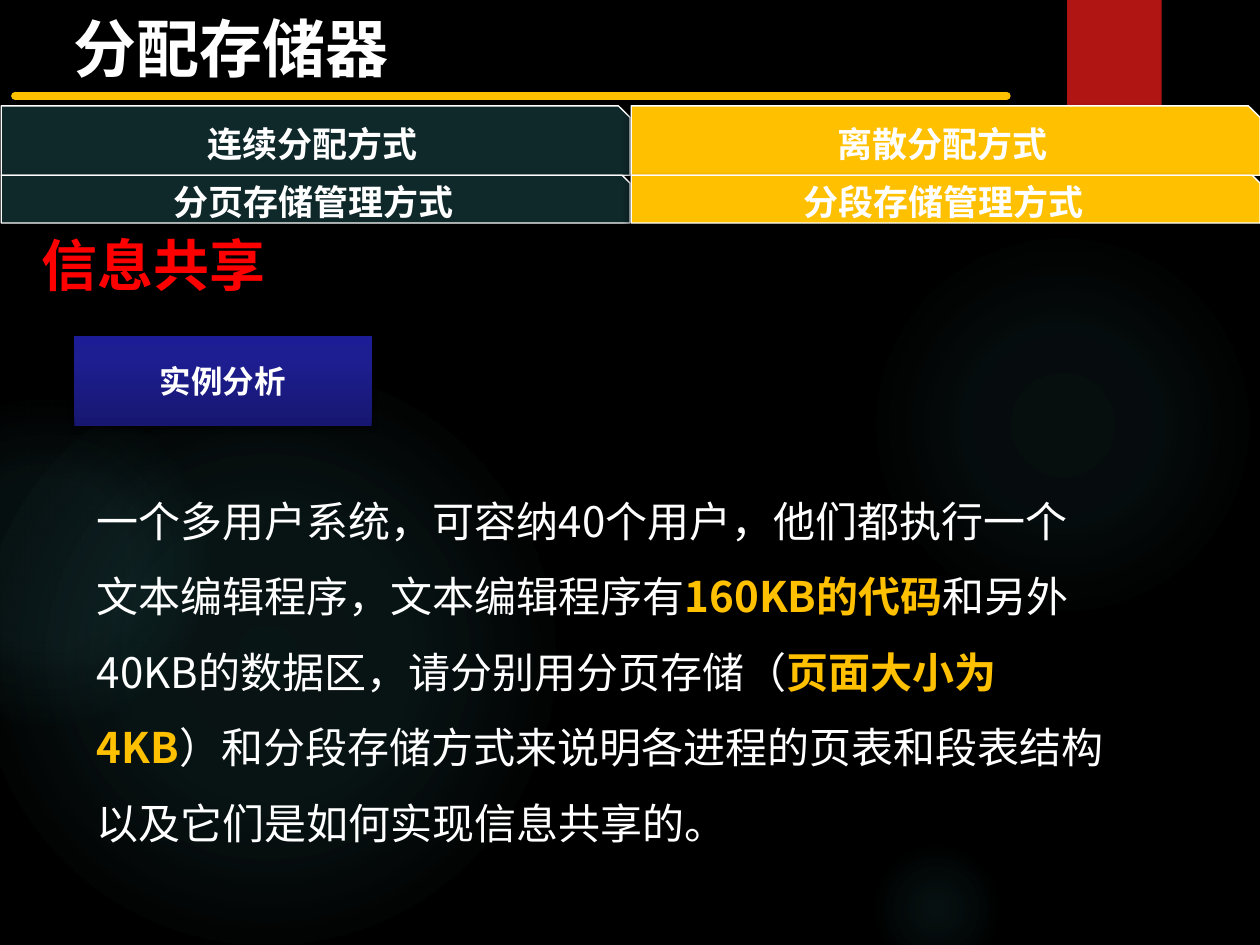
from pptx import Presentation
from pptx import util as u
from pptx.dml.color import RGBColor
from pptx.enum import shapes, text
from pptx.oxml import parse_xml
from pptx.oxml.ns import nsdecls, qn

COLORS = {
    "background": "000000", "white": "FFFFFF", "glow": "50B9C1",
    "ribbon": "B01513", "accent": "FFC000", "tab": "0F282A", "heading": "FF0000",
    "label_low": "171771", "label_mid": "1E1E93", "label_top": "1C1C96",
}
FONT = "Noto Sans CJK SC"
CELL = u.Inches(0.1)  # the slide is a grid of 100 columns by 75 rows
COLUMNS, ROWS = 100, 75


def cells(*counts):
    return [round(count * CELL) for count in counts]


def rgb(name):
    return RGBColor.from_string(COLORS[name])


def write(frame, runs, size, color="white", bold=False, align=None,
          anchor=text.MSO_ANCHOR.TOP, spacing=None):
    """Fill a frame with one paragraph; each run is (words, highlighted)."""
    frame.word_wrap = True
    frame.vertical_anchor = anchor
    paragraph = frame.paragraphs[0]
    paragraph.alignment = align
    paragraph.line_spacing = spacing
    for words, highlighted in runs:
        run = paragraph.add_run()
        run.text = words
        run.font.size = u.Pt(size)
        run.font.bold = bold or highlighted
        run.font.color.rgb = rgb("accent" if highlighted else color)
        run.font.name = FONT
        east_asian = parse_xml(f'<a:ea {nsdecls("a")} typeface="{FONT}"/>')
        run.font._element.find(qn("a:latin")).addnext(east_asian)


def add_text(slide, area, runs, size, **style):
    frame = slide.shapes.add_textbox(*cells(*area)).text_frame
    write(frame, runs, size, **style)
    return frame


def add_block(parent, kind, area, fill=None, outline=None, shadow=None):
    """Add a shape; shadow is (opacity %, blur pt, distance pt), cast downwards."""
    block = parent.shapes.add_shape(kind, *cells(*area))
    if fill:
        block.fill.solid()
        block.fill.fore_color.rgb = rgb(fill)
    else:
        block.fill.background()
    if outline:
        block.line.color.rgb = rgb(outline)
        block.line.width = u.Pt(0.75)
    else:
        block.line.fill.background()
    block.shadow.inherit = False
    if shadow:
        opacity, blur, distance = shadow
        block._element.spPr.find(qn("a:effectLst")).append(parse_xml(
            f'<a:outerShdw {nsdecls("a")} blurRad="{u.Pt(blur)}" dist="{u.Pt(distance)}" '
            f'dir="5400000" algn="ctr" rotWithShape="0"><a:srgbClr val="000000">'
            f'<a:alpha val="{opacity * 1000}"/></a:srgbClr></a:outerShdw>'))
    return block


def set_gradient(block, stops, direction):
    """Replace an empty fill by stops of (position %, color, opacity %)."""
    stop_xml = "".join(
        f'<a:gs pos="{position * 1000}"><a:srgbClr val="{COLORS[color]}">'
        f'<a:alpha val="{opacity * 1000}"/></a:srgbClr></a:gs>'
        for position, color, opacity in stops)
    properties = block._element.spPr
    properties.replace(properties.find(qn("a:noFill")), parse_xml(
        f'<a:gradFill {nsdecls("a")} rotWithShape="1"><a:gsLst>{stop_xml}</a:gsLst>'
        f'{direction}</a:gradFill>'))


def add_glow(slide, left, top, diameter, opacities, edge):
    glow = add_block(slide, shapes.MSO_SHAPE.OVAL, (left, top, diameter, diameter))
    stops = zip((0, 36, edge), ["glow"] * 3, (*opacities, 0))
    set_gradient(glow, stops, '<a:path path="circle"><a:fillToRect l="50000" '
                              't="50000" r="50000" b="50000"/></a:path>')


def add_rule(slide, left, right, row):
    rule = slide.shapes.add_connector(
        shapes.MSO_CONNECTOR.STRAIGHT, *cells(left, row, right, row))
    rule.line.color.rgb = rgb("accent")
    rule.line.width = u.Pt(4.5)
    rule.line._ln.set("cap", "rnd")
    rule._element.spPr.append(parse_xml(f'<a:effectLst {nsdecls("a")}/>'))


def add_tabs(slide, top, height, labels):
    """Two tabs side by side; the right one is the current topic."""
    tabs = slide.shapes.add_group_shape()
    width = COLUMNS / 2 - 0.1
    for column, (label, fill) in enumerate(zip(labels, ("tab", "accent"))):
        tab = add_block(tabs, shapes.MSO_SHAPE.SNIP_1_RECTANGLE,
                        (0.1 + column * COLUMNS / 2, top, width, height),
                        fill=fill, outline="white", shadow=(60, 5, 3))
        write(tab.text_frame, [(label, False)], 20, bold=True,
              align=text.PP_ALIGN.CENTER, anchor=text.MSO_ANCHOR.MIDDLE)


def main():
    deck = Presentation()
    deck.slide_width, deck.slide_height = cells(COLUMNS, ROWS)
    slide = deck.slides.add_slide(deck.slide_layouts[6])
    slide.background.fill.solid()
    slide.background.fill.fore_color.rgb = rgb("background")

    # Backdrop: soft glows, ribbon and title rule
    add_glow(slide, 68.9, 18.3, 30.8, (7, 6), 69)
    add_glow(slide, 68.9, 66.7, 10.8, (9, 5), 66)
    add_glow(slide, -1.7, 29.2, 45.8, (11, 10), 75)
    add_glow(slide, -9.2, 31.7, 25.8, (8, 8), 72)
    add_block(slide, shapes.MSO_SHAPE.RECTANGLE, (84.7, 0, 7.5, 12),
              fill="ribbon", shadow=(45, 3, 2))
    add_rule(slide, 1.2, 79.9, 7.6)

    # Title and navigation
    add_text(slide, (0.1, 0.3, 36.5, 7.1), [("分配存储器", False)], 36,
             bold=True, align=text.PP_ALIGN.CENTER)
    add_tabs(slide, 8.4, 5.5, ("连续分配方式", "离散分配方式"))
    add_tabs(slide, 13.9, 3.8, ("分页存储管理方式", "分段存储管理方式"))

    # Section heading and example label
    add_text(slide, (2.3, 18.1, 68.5, 5.7), [("信息共享", False)], 32,
             color="heading", bold=True, anchor=text.MSO_ANCHOR.MIDDLE)
    label = add_block(slide, shapes.MSO_SHAPE.RECTANGLE, (5.9, 26.7, 23.6, 7.1),
                      shadow=(35, 3.1, 1.8))
    set_gradient(label, [(0, "label_low", 100), (80, "label_mid", 100),
                         (100, "label_top", 100)], '<a:lin ang="16200000" scaled="0"/>')
    write(label.text_frame, [("实例分析", False)], 18, bold=True,
          align=text.PP_ALIGN.CENTER, anchor=text.MSO_ANCHOR.MIDDLE)

    # Example problem
    problem = add_text(slide, (6.7, 36.8, 81.9, 31.3), [
        ("一个多用户系统，可容纳40个用户，他们都执行一个文本编辑程序，文本编辑程序有", False),
        ("160KB的代码", True),
        ("和另外40KB的数据区，请分别用分页存储（", False),
        ("页面大小为4KB", True),
        ("）和分段存储方式来说明各进程的页表和段表结构以及它们是如何实现信息共享的。", False),
    ], 24, spacing=1.5)
    problem.auto_size = text.MSO_AUTO_SIZE.SHAPE_TO_FIT_TEXT

    deck.save("out.pptx")


if __name__ == "__main__":
    main()
